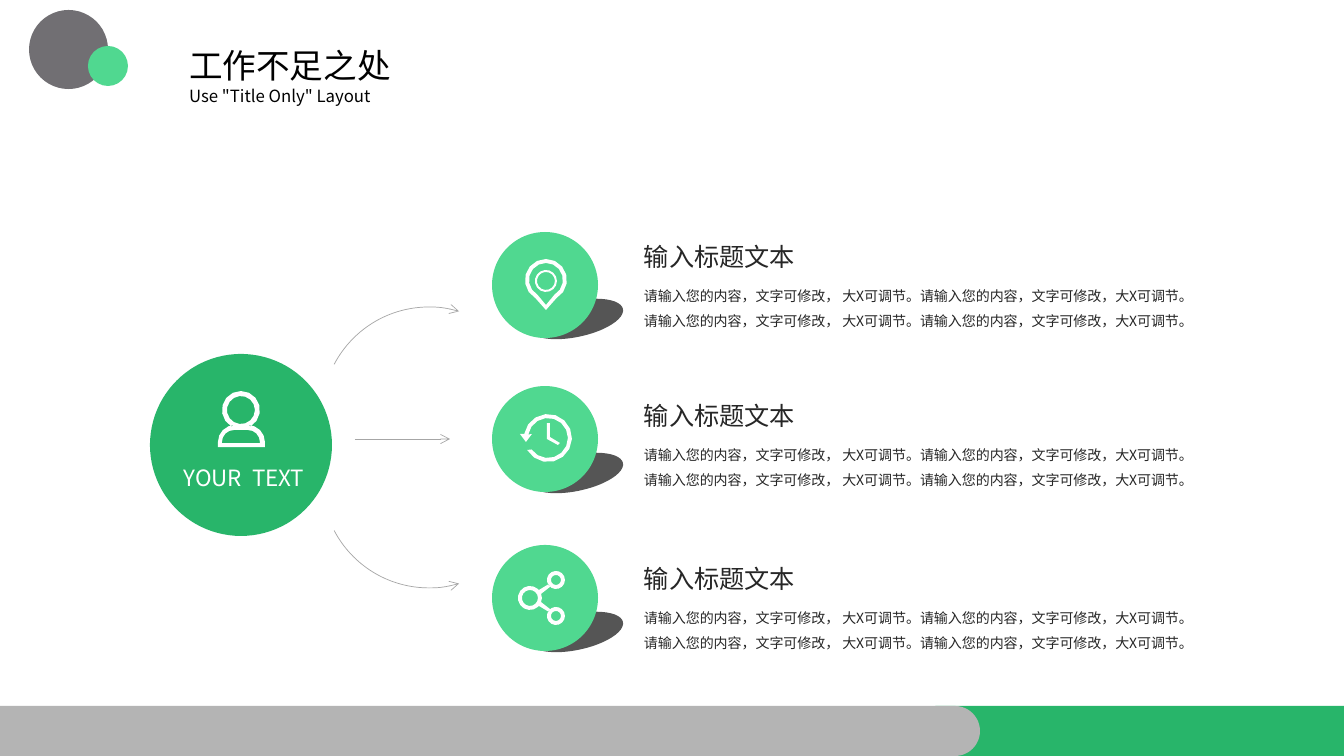
import math

from lxml import etree
from pptx import Presentation
from pptx.dml.color import RGBColor
from pptx.enum.shapes import MSO_CONNECTOR, MSO_SHAPE
from pptx.enum.text import MSO_ANCHOR, MSO_AUTO_SIZE, PP_ALIGN
from pptx.oxml.ns import qn
from pptx.util import Pt

EMU_PER_PX = 914400 / 100.8
FONT = "Noto Sans CJK SC"
WHITE = RGBColor(0xFF, 0xFF, 0xFF)
BLACK = RGBColor(0x00, 0x00, 0x00)
INK = RGBColor(0x26, 0x26, 0x26)
GREEN = RGBColor(0x28, 0xB5, 0x6A)
MINT = RGBColor(0x50, 0xD8, 0x90)
SLATE = RGBColor(0x71, 0x6F, 0x73)
SILVER = RGBColor(0xB4, 0xB4, 0xB4)
LINE_GREY = RGBColor(0xA6, 0xA6, 0xA6)
SHADE = RGBColor(0x55, 0x55, 0x55)
LEFT, CENTER = PP_ALIGN.LEFT, PP_ALIGN.CENTER
TOP, MIDDLE = MSO_ANCHOR.TOP, MSO_ANCHOR.MIDDLE
NO_FIT = MSO_AUTO_SIZE.NONE
ELLIPSE, ROUND_RECT, ARC = MSO_SHAPE.OVAL, MSO_SHAPE.ROUNDED_RECTANGLE, MSO_SHAPE.ARC
DOT = MSO_SHAPE.FLOWCHART_CONNECTOR
STRAIGHT = MSO_CONNECTOR.STRAIGHT

HEADING = "输入标题文本"
BODY = ("请输入您的内容，文字可修改， 大X可调节。请输入您的内容，文字可修改，大X可调节。"
        "请输入您的内容，文字可修改， 大X可调节。请输入您的内容，文字可修改，大X可调节。")


def px(*lengths):
    """Turn pixel lengths into EMU."""
    return [round(n * EMU_PER_PX) for n in lengths]


def paint(sp, color):
    """Give a shape a plain fill without line or shadow."""
    sp.shadow.inherit = False
    sp.fill.solid()
    sp.fill.fore_color.rgb = color
    sp.line.fill.background()
    return sp


def add_filled(s, kind, box, color):
    """Add a filled preset shape."""
    return paint(s.shapes.add_shape(kind, *px(*box)), color)


def write(sp, text, size, color, align=LEFT, anchor=MIDDLE, inset=0, pitch=None):
    """Write one formatted paragraph into a shape."""
    tf = sp.text_frame
    tf.word_wrap = True
    tf.auto_size = NO_FIT
    tf.vertical_anchor = anchor
    tf.margin_left, tf.margin_right = px(inset, inset)
    tf.margin_top = tf.margin_bottom = 0
    p = tf.paragraphs[0]
    p.alignment = align
    if pitch:
        p.line_spacing = Pt(pitch)
    r = p.add_run()
    r.text = text
    r.font.size = Pt(size)
    r.font.name = FONT
    r.font.color.rgb = color
    ea = etree.SubElement(r.font._element, qn("a:ea"))
    ea.set("typeface", FONT)


def add_text(s, box, text, **fmt):
    """Add a text box."""
    write(s.shapes.add_textbox(*px(*box)), text, **fmt)


def add_arrowhead(sp):
    """Style a line as a thin grey arrow."""
    sp.line.color.rgb = LINE_GREY
    sp.line.width = Pt(0.5)
    spPr = sp._element.spPr
    tail = etree.SubElement(spPr.find(qn("a:ln")), qn("a:tailEnd"))
    tail.set("type", "arrow")
    if spPr.find(qn("a:effectLst")) is None:
        etree.SubElement(spPr, qn("a:effectLst"))


def curve(cx, cy, radius, start, end):
    """Return points on a circle from one angle to another, in degrees."""
    steps = max(3, round(abs(end - start) / 24))
    angles = [math.radians(start + (end - start) * i / steps) for i in range(steps + 1)]
    return [(cx + radius * math.cos(a), cy + radius * math.sin(a)) for a in angles]


def ring(cx, cy, outer, inner):
    """Return the two outlines of a ring."""
    return [curve(cx, cy, outer, 0, 336), curve(cx, cy, inner, 336, 0)]


def add_icon(s, x, y, contours):
    """Draw a white icon from outlines relative to its centre."""
    outlines = [[px(x + dx, y + dy) for dx, dy in points] for points in contours]
    fb = s.shapes.build_freeform(*outlines[0][0], scale=1.0)
    fb.add_line_segments(outlines[0][1:], close=True)
    for points in outlines[1:]:
        fb.move_to(*points[0])
        fb.add_line_segments(points[1:], close=True)
    paint(fb.convert_to_shape(), WHITE)


def person_icon():
    """Return the outlines of a head and shoulders."""
    silhouette = (curve(0, -9, 19, 120, 420) + curve(7, 23, 17, -90, 0)
                  + [(24, 28), (-23, 28)] + curve(-6, 23, 17, 180, 270))
    chest = curve(-7, 23, 12, 180, 270) + curve(7, 23, 12, -90, 0) + [(19, 24), (-19, 24)]
    return [silhouette, curve(0, -9, 14, 336, 0), chest]


def pin_icon():
    """Return the outlines of a map pin."""
    outer = curve(0, -5, 21, 120, 420) + [(0, 25)]
    inner = curve(0, -5, 17, 120, 420) + [(0, 20)]
    return [outer, inner[::-1]] + ring(0, -4, 11, 9)


def clock_icon():
    """Return the outlines of a clock with a turning arrow."""
    dial = (curve(2, -1, 24, 190, 510) + curve(2, -1, 20, 505, 190)
            + [(-14, -5), (-20, 3), (-26, -5)])
    hands = [(1, -16), (1, 0), (12, 6), (14, 4), (4, -2), (4, -16)]
    return [dial, hands]


def share_icon():
    """Return the outlines of three linked nodes."""
    upper = [(-7, -8), (3, -14), (4, -11), (-5, -4)]
    lower = [(x, -y) for x, y in upper]
    return ring(-16, 0, 12, 8) + ring(10, -18, 9, 5) + ring(10, 18, 9, 5) + [upper, lower]


def add_frame(s):
    """Add the footer bars and the corner dots."""
    for x, w, color in ((911, 482, GREEN), (-46, 1026, SILVER)):
        add_filled(s, ROUND_RECT, (x, 706, w, 50), color).adjustments[0] = 0.5
    add_filled(s, DOT, (29, 10, 79, 79), SLATE)
    add_filled(s, DOT, (88, 46, 40, 40), MINT)


def add_header(s, x, y):
    """Place the title and its subtitle."""
    title = s.shapes.title
    title.left, title.top, title.width, title.height = px(x, y, 393, 50)
    write(title, "工作不足之处", size=24, color=BLACK, inset=10)
    add_text(s, (x, y + 41, 393, 30), 'Use "Title Only" Layout', size=12, color=BLACK, inset=10)


def add_hub(s, x, y, d):
    """Add the main circle with its icon and label."""
    add_filled(s, ELLIPSE, (x, y, d, d), GREEN)
    add_icon(s, x + d // 2, y + 65, person_icon())
    add_text(s, (x + 5, y + 110, 178, 27), "YOUR  TEXT", size=16, color=WHITE, align=CENTER)


def add_arrows(s, x, y):
    """Add the two curved arrows and the straight one between them."""
    for top, flipped in ((y, False), (y + 67, True)):
        arc = s.shapes.add_shape(ARC, *px(x, top, 214, 214))
        arc.shadow.inherit = False
        arc.fill.background()
        arc.adjustments[0], arc.adjustments[1] = 124.57, 171.81
        if flipped:
            arc._element.spPr.xfrm.set("flipV", "1")
        add_arrowhead(arc)
    add_arrowhead(s.shapes.add_connector(STRAIGHT, *px(x + 33, y + 132, x + 128, y + 132)))


def add_item(s, x, y, text_y, icon):
    """Add a shaded icon circle with its heading and body text."""
    add_filled(s, ELLIPSE, (x + 36, y + 69, 96, 36), SHADE).rotation = 348
    add_filled(s, ELLIPSE, (x, y, 106, 106), MINT)
    add_icon(s, x + 54, y + 53, icon)
    add_text(s, (x + 152, text_y, 170, 30), HEADING, size=18, color=INK)
    add_text(s, (x + 152, text_y + 38, 539, 77), BODY, size=10, color=INK,
             anchor=TOP, pitch=17.86)


def main():
    """Build and save the slide."""
    prs = Presentation()
    prs.slide_width, prs.slide_height = px(1344, 756)
    s = prs.slides.add_slide(prs.slide_layouts[5])
    add_frame(s)
    add_header(s, 179, 40)
    add_hub(s, 150, 354, 182)
    add_arrows(s, 322, 307)
    items = ((232, 241, pin_icon), (386, 400, clock_icon), (545, 563, share_icon))
    for y, text_y, icon in items:
        add_item(s, 492, y, text_y, icon())
    prs.save("out.pptx")


if __name__ == "__main__":
    main()
